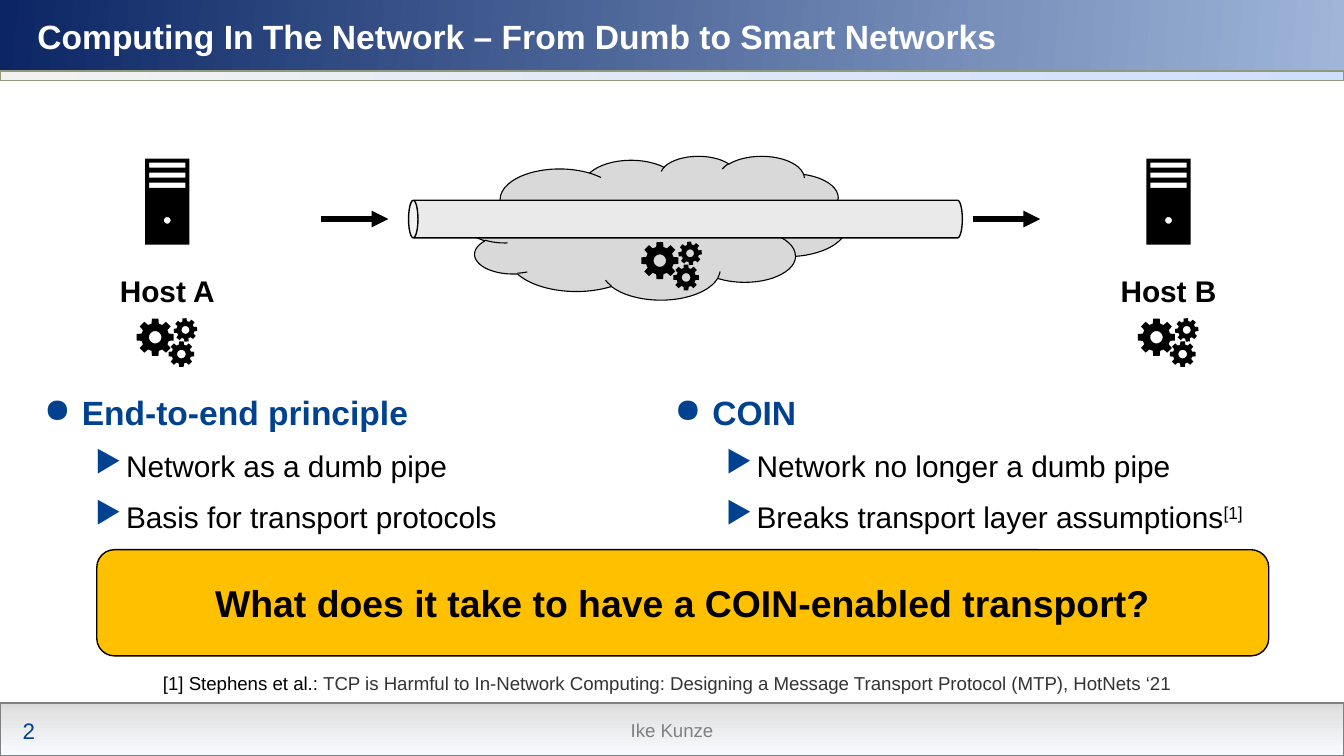
from copy import deepcopy
from dataclasses import dataclass
from math import cos, radians, sin

from lxml import etree
from pptx import Presentation
from pptx.dml.color import RGBColor
from pptx.enum.shapes import MSO_CONNECTOR, MSO_SHAPE
from pptx.enum.text import MSO_ANCHOR, PP_ALIGN
from pptx.oxml.ns import qn
from pptx.util import Inches, Pt

RECT, ROUNDED = MSO_SHAPE.RECTANGLE, MSO_SHAPE.ROUNDED_RECTANGLE
CLOUD, CAN = MSO_SHAPE.CLOUD, MSO_SHAPE.CAN
STRAIGHT = MSO_CONNECTOR.STRAIGHT
LEFT, CENTER = PP_ALIGN.LEFT, PP_ALIGN.CENTER
TOP, MIDDLE = MSO_ANCHOR.TOP, MSO_ANCHOR.MIDDLE


@dataclass(frozen=True)
class Theme:
    face: str = "Arial"
    black: str = "000000"
    white: str = "FFFFFF"
    blue: str = "004290"
    gray: str = "808080"
    citation: str = "333333"
    cloud: str = "D9D9D9"
    pipe: str = "EAEAEA"
    callout: str = "FFC000"
    strip_edge: str = "919978"
    header: tuple = ((0, "0C2665"), (1, "9FB6D9"))
    strip: tuple = ((0, "F2F2F2"), (1, "CEDFFF"))
    footer: tuple = ((0, "D9D9D9"), (0.23, "E4E4E4"), (1, "F8FBFF"))
    question: int = 20
    heading: int = 18
    text: int = 16
    number: int = 12
    small: int = 10


THEME = Theme()
COLUMNS, ROWS = 100, 56.25
MIDLINE = 16.3
HOSTS = (("Host A", 12.45), ("Host B", 86.95))
GEARS = ((0, 0, 1.4, 0), (2.25, -0.55, 0.88, -5), (1.95, 1.25, 0.97, 0))
TOPICS = (
    ("End-to-end principle",
     (("Network as a dumb pipe", ""), ("Basis for transport protocols", ""))),
    ("COIN",
     (("Network no longer a dumb pipe", ""),
      ("Breaks transport layer assumptions", "[1]"))),
)


def cells(*values):
    return [Inches(value / 10) for value in values]


def rgb(color):
    return RGBColor.from_string(color)


def paint(shape, fill, edge=None, weight=0.75):
    shape.shadow.inherit = False
    shape.fill.solid()
    shape.fill.fore_color.rgb = rgb(fill)
    if edge:
        shape.line.color.rgb = rgb(edge)
        shape.line.width = Pt(weight)
    else:
        shape.line.fill.background()


def add_block(page, kind, area, fill, edge=None, weight=0.75):
    shape = page.shapes.add_shape(kind, *cells(*area))
    paint(shape, fill, edge, weight)
    return shape


def add_gradient(page, area, stops, angle, edge=None):
    shape = add_block(page, RECT, area, THEME.white, edge)
    shape.fill.gradient()
    shape.fill.gradient_angle = angle
    stop_list = shape._element.spPr.find(".//" + qn("a:gsLst"))
    for _ in stops[2:]:
        stop_list.append(deepcopy(stop_list[0]))
    for stop, (position, color) in zip(shape.fill.gradient_stops, stops):
        stop.position = position
        stop.color.rgb = rgb(color)


def set_font(para, size, color, bold=False):
    para.font.name = THEME.face
    para.font.size = Pt(size)
    para.font.bold = bold
    para.font.color.rgb = rgb(color)


def write(shape, text, size, color, bold=False, align=CENTER, anchor=MIDDLE):
    frame = shape.text_frame
    frame.word_wrap = True
    frame.vertical_anchor = anchor
    para = frame.paragraphs[0]
    para.alignment = align
    para.add_run().text = text
    set_font(para, size, color, bold)
    return para


def add_label(page, area, *content, **style):
    return write(page.shapes.add_textbox(*cells(*area)), *content, **style)


def add_outline(page, contours):
    first, *others = [[cells(*point) for point in contour] for contour in contours]
    builder = page.shapes.build_freeform(*first[0])
    builder.add_line_segments(first[1:])
    for contour in others:
        builder.move_to(*contour[0])
        builder.add_line_segments(contour[1:])
    paint(builder.convert_to_shape(), THEME.black)


def polar(x, y, radius, degrees):
    return x + radius * cos(radians(degrees)), y + radius * sin(radians(degrees))


def circle(x, y, radius):
    return [polar(x, y, radius, -degrees) for degrees in range(0, 360, 15)]


def box(left, top, width, height):
    right, bottom = left + width, top + height
    return [(left, top), (left, bottom), (right, bottom), (right, top)]


def add_gears(page, x, y):
    profile = ((0.75, -15), (1, -10), (1, 10), (0.75, 15))
    for across, down, radius, turn in GEARS:
        center = (x + across, y + down)
        teeth = [polar(*center, radius * share, turn + tooth + offset)
                 for tooth in range(0, 360, 45) for share, offset in profile]
        add_outline(page, [teeth, circle(*center, radius * 0.33)])


def add_host(page, name, x):
    slots = [box(x - 1.35, 12.1 + 0.75 * row, 2.7, 0.38) for row in range(3)]
    add_outline(page, [box(x - 1.65, 11.8, 3.3, 6.4), circle(x, 16.4, 0.25), *slots])
    add_label(page, (x - 5, 20, 10, 3.3), name, THEME.text, THEME.black, bold=True)


def add_arrow(page, start, end):
    arrow = page.shapes.add_connector(STRAIGHT, *cells(start, MIDLINE, end, MIDLINE))
    arrow.line.color.rgb = rgb(THEME.black)
    arrow.line.width = Pt(3)
    properties = arrow._element.spPr
    etree.SubElement(properties.find(qn("a:ln")), qn("a:tailEnd"), type="triangle")
    etree.SubElement(properties, qn("a:effectLst"))


def add_bullet(para, mark, margin, hanging):
    properties = para._p.get_or_add_pPr()
    properties.set("marL", str(Inches(margin)))
    properties.set("indent", str(-Inches(hanging)))
    color = etree.SubElement(properties, qn("a:buClr"))
    etree.SubElement(color, qn("a:srgbClr"), val=THEME.blue)
    etree.SubElement(properties, qn("a:buChar"), char=mark)


def add_topics(page):
    frame = page.shapes.add_textbox(*cells(2.3, 28.4, 95.8, 12)).text_frame
    frame.word_wrap = True
    frame._txBody.bodyPr.set("numCol", "2")
    para = frame.paragraphs[0]
    for heading, points in TOPICS:
        if para is None:
            para = frame.add_paragraph()
        add_bullet(para, "●", 0.28, 0.28)
        para.line_spacing = 1.1
        para.add_run().text = heading
        set_font(para, THEME.heading, THEME.blue, True)
        for point, reference in points:
            para = frame.add_paragraph()
            para.level = 1
            add_bullet(para, "▶", 0.61, 0.23)
            para.line_spacing = 1.2
            para.space_before = Pt(4.2)
            para.add_run().text = point
            if reference:
                span = para.add_run()
                span.text = reference
                span._r.get_or_add_rPr().set("baseline", "30000")
            set_font(para, THEME.text, THEME.black)
        para = None


def add_frame(page):
    add_gradient(page, (0, 0, COLUMNS, 6.9), THEME.header, 355)
    add_block(page, RECT, (0, 5.5, COLUMNS, 46.8), THEME.white)
    add_gradient(page, (0, 5.3, COLUMNS, 0.7), THEME.strip, 0, THEME.strip_edge)
    add_gradient(page, (0, 52.3, COLUMNS, 3.95), THEME.footer, 270, THEME.gray)
    add_label(page, (0.7, 52.9, 4, 3), "2", THEME.number, THEME.blue,
              align=LEFT, anchor=TOP)
    add_label(page, (22.6, 52.3, 54.8, 4), "Ike Kunze", THEME.small, THEME.gray)
    add_label(page, (1.8, 0.8, 95.8, 3.8),
              "Computing In The Network – From Dumb to Smart Networks",
              THEME.heading, THEME.white, bold=True, align=LEFT)


def add_network(page):
    add_block(page, CLOUD, (34.7, 11.6, 28.3, 10.7), THEME.cloud, THEME.black, 0.6)
    for name, x in HOSTS:
        add_host(page, name, x)
        add_gears(page, x - 0.9, 25.1)
    pipe = add_block(page, CAN, (49.6, -4.3, 2.8, 41.2), THEME.pipe, THEME.black)
    pipe.rotation = 270
    add_gears(page, 49.1, 19.4)
    for start in (23.9, 72.4):
        add_arrow(page, start, start + 5)


def add_citation(page):
    para = add_label(page, (2.3, 49.5, 94.6, 3), "[1] Stephens et al.: ",
                     THEME.small, THEME.black, anchor=TOP)
    span = para.add_run()
    span.text = ("TCP is Harmful to In-Network Computing: Designing a Message "
                 "Transport Protocol (MTP), HotNets ‘21")
    span.font.color.rgb = rgb(THEME.citation)


def main():
    deck = Presentation()
    deck.slide_width, deck.slide_height = cells(COLUMNS, ROWS)
    page = deck.slides.add_slide(deck.slide_layouts[6])
    add_frame(page)
    add_network(page)
    add_topics(page)
    callout = add_block(page, ROUNDED, (7.2, 40.9, 87.2, 7.9), THEME.callout, THEME.black)
    write(callout, "What does it take to have a COIN-enabled transport?",
          THEME.question, THEME.black, bold=True)
    add_citation(page)
    deck.save("out.pptx")


if __name__ == "__main__":
    main()
